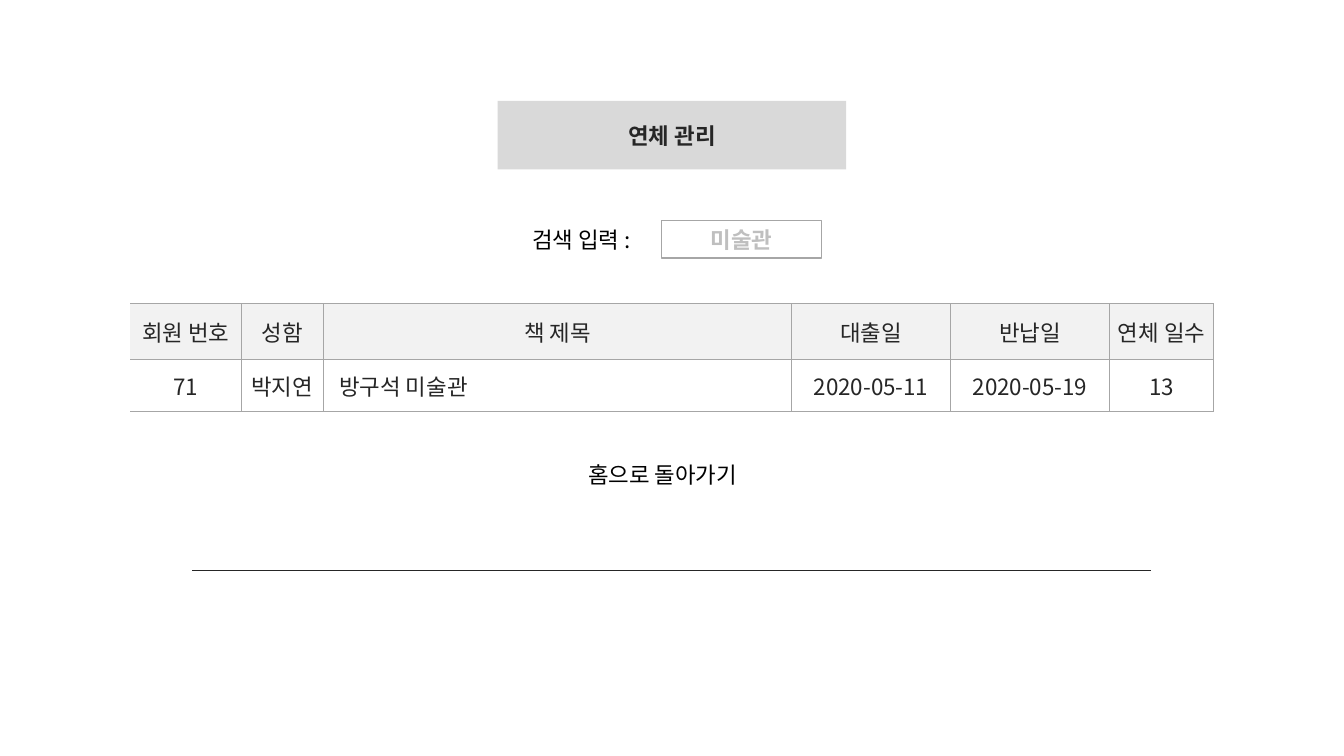
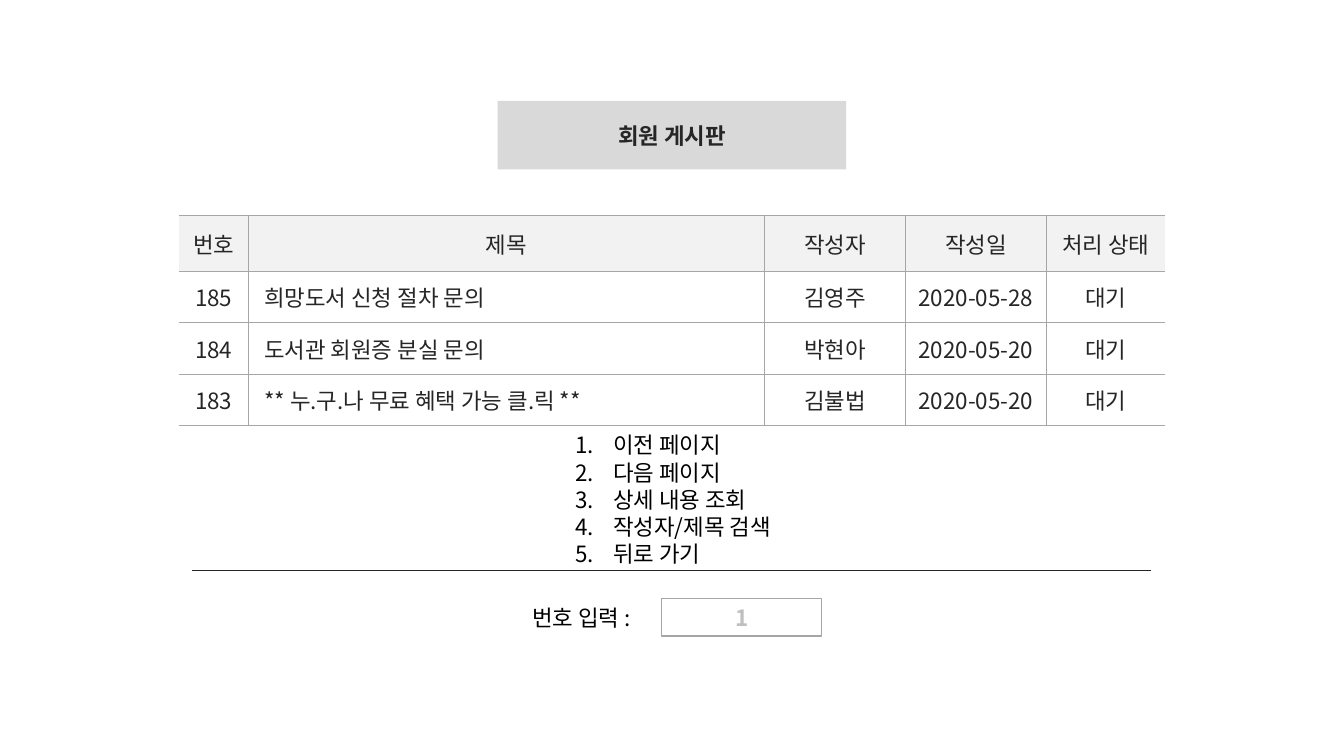
from dataclasses import dataclass

from lxml import etree
from pptx import Presentation
from pptx.dml.color import RGBColor
from pptx.enum.shapes import MSO_CONNECTOR, MSO_SHAPE
from pptx.enum.text import MSO_ANCHOR, PP_ALIGN
from pptx.oxml.ns import qn
from pptx.util import Pt

LEFT, CENTER = PP_ALIGN.LEFT, PP_ALIGN.CENTER
TOP, MIDDLE = MSO_ANCHOR.TOP, MSO_ANCHOR.MIDDLE
RECT, STRAIGHT = MSO_SHAPE.RECTANGLE, MSO_CONNECTOR.STRAIGHT
TITLE_ONLY = 5
SLIDE_W, SLIDE_H = 960, 540


@dataclass(frozen=True)
class Theme:
    text: str = "000000"
    dark: str = "262626"
    hint: str = "BFBFBF"
    border: str = "A6A6A6"
    band: str = "D9D9D9"
    header: str = "F2F2F2"
    white: str = "FFFFFF"
    title_font: str = "Arial"
    font: str = "Noto Sans CJK KR"
    size: float = 16
    leading: float = 19.4


class Deck:
    """Holds the presentation, its style and the current slide."""

    def __init__(self, theme):
        self.theme = theme
        self.prs = Presentation()
        self.prs.slide_width, self.prs.slide_height = Pt(SLIDE_W), Pt(SLIDE_H)
        self.slide = None

    # Shared styling
    def fill(self, obj, color):
        obj.fill.solid()
        obj.fill.fore_color.rgb = RGBColor.from_string(color)

    def stroke(self, sp, color, width):
        sp.line.color.rgb = RGBColor.from_string(color)
        sp.line.width = Pt(width)

    def add_run(self, p, text, color, bold=False, font=None, align=LEFT):
        p.alignment = align
        r = p.add_run()
        r.text = text
        r.font.name = font or self.theme.font
        r.font.size = Pt(self.theme.size)
        r.font.bold = bold
        r.font.color.rgb = RGBColor.from_string(color)
        ea = etree.SubElement(r._r.get_or_add_rPr(), qn("a:ea"))
        ea.set("typeface", self.theme.font)

    # Slide with title band and lower rule
    def new_slide(self, title):
        th = self.theme
        self.slide = self.prs.slides.add_slide(self.prs.slide_layouts[TITLE_ONLY])
        sp = self.slide.shapes.title
        width = 249
        sp.left, sp.top = Pt((SLIDE_W - width) / 2), Pt(72)
        sp.width, sp.height = Pt(width), Pt(49)
        self.fill(sp, th.band)
        sp.text_frame.vertical_anchor = MIDDLE
        p = sp.text_frame.paragraphs[0]
        p.line_spacing = Pt(th.leading)
        self.add_run(p, title, th.dark, True, th.title_font, CENTER)
        self.rule(137.5, 407.5)

    def rule(self, margin, y):
        line = self.slide.shapes.add_connector(
            STRAIGHT, Pt(margin), Pt(y), Pt(SLIDE_W - margin), Pt(y))
        self.stroke(line, self.theme.dark, 0.5)
        etree.SubElement(line._element.spPr, qn("a:effectLst"))

    # Plain text, one paragraph per line, optionally numbered
    def text(self, x, y, width, lines, numbered=False):
        th = self.theme
        height = len(lines) * th.leading + 7.2
        tf = self.slide.shapes.add_textbox(Pt(x), Pt(y), Pt(width), Pt(height)).text_frame
        tf.word_wrap = True
        tf.vertical_anchor = TOP
        for i, line in enumerate(lines):
            p = tf.add_paragraph() if i else tf.paragraphs[0]
            if numbered:
                pPr = p._p.get_or_add_pPr()
                pPr.set("marL", str(Pt(27)))
                pPr.set("indent", str(-Pt(27)))
                etree.SubElement(pPr, qn("a:buAutoNum")).set("type", "arabicPeriod")
            p.line_spacing = Pt(th.leading)
            self.add_run(p, line, th.text)

    # Label followed by an input field
    def field(self, y, label, value):
        th = self.theme
        self.text(373, y, 100, [label])
        sp = self.slide.shapes.add_shape(RECT, Pt(472.5), Pt(y), Pt(114.5), Pt(26.6))
        sp.shadow.inherit = False
        self.fill(sp, th.white)
        self.stroke(sp, th.border, 1)
        sp.text_frame.vertical_anchor = MIDDLE
        p = sp.text_frame.paragraphs[0]
        p.line_spacing = Pt(th.leading)
        self.add_run(p, value, th.hint, True, align=CENTER)

    # Centred table, open on the left
    def table(self, y, widths, rows, wide_col, close_right=False):
        th = self.theme
        heights = [40] + [36.8] * (len(rows) - 1)
        total = sum(widths)
        tbl = self.slide.shapes.add_table(
            len(rows), len(widths), Pt((SLIDE_W - total) / 2), Pt(y),
            Pt(total), Pt(sum(heights))).table
        tbl.first_row = tbl.horz_banding = False
        for col, width in zip(tbl.columns, widths):
            col.width = Pt(width)
        last = len(widths) - 1
        for i, values in enumerate(rows):
            tbl.rows[i].height = Pt(heights[i])
            for j, value in enumerate(values):
                cell = tbl.cell(i, j)
                body_text = i > 0 and j == wide_col
                cell.margin_left = Pt(11.3 if body_text else 0)
                cell.margin_right = cell.margin_top = cell.margin_bottom = 0
                cell.vertical_anchor = MIDDLE
                self.borders(cell, j > 0, j < last or close_right)
                self.fill(cell, th.white if i else th.header)
                self.add_run(cell.text_frame.paragraphs[0], value, th.dark,
                             align=LEFT if body_text else CENTER)

    def borders(self, cell, left, right):
        tcPr = cell._tc.get_or_add_tcPr()
        for side, shown in (("L", left), ("R", right), ("T", True), ("B", True)):
            ln = etree.SubElement(tcPr, qn("a:ln" + side), w=str(Pt(0.75)))
            if shown:
                paint = etree.SubElement(ln, qn("a:solidFill"))
                etree.SubElement(paint, qn("a:srgbClr"), val=self.theme.border)
            else:
                etree.SubElement(ln, qn("a:noFill"))


def overdue_slide(deck):
    deck.new_slide("연체 관리")
    deck.field(157.7, "검색 입력 :", "미술관")
    deck.table(216.8, [79.2, 58.9, 334.4, 113.5, 113.5, 74.5], [
        ["회원 번호", "성함", "책 제목", "대출일", "반납일", "연체 일수"],
        ["71", "박지연", "방구석 미술관", "2020-05-11", "2020-05-19", "13"],
    ], wide_col=2, close_right=True)
    deck.text(413, 326, 133, ["홈으로 돌아가기"])


def board_slide(deck):
    deck.new_slide("회원 게시판")
    deck.table(153.8, [49.6, 368.6, 100.7, 100.7, 84.6], [
        ["번호", "제목", "작성자", "작성일", "처리 상태"],
        ["185", "희망도서 신청 절차 문의", "김영주", "2020-05-28", "대기"],
        ["184", "도서관 회원증 분실 문의", "박현아", "2020-05-20", "대기"],
        ["183", "** 누.구.나 무료 혜택 가능 클.릭 **", "김불법", "2020-05-20", "대기"],
    ], wide_col=1)
    deck.text(404, 304.5, 175, [
        "이전 페이지", "다음 페이지", "상세 내용 조회", "작성자/제목 검색", "뒤로 가기",
    ], numbered=True)
    deck.field(427.7, "번호 입력 :", "1")


def main():
    deck = Deck(Theme())
    overdue_slide(deck)
    board_slide(deck)
    deck.prs.save("out.pptx")


if __name__ == "__main__":
    main()
